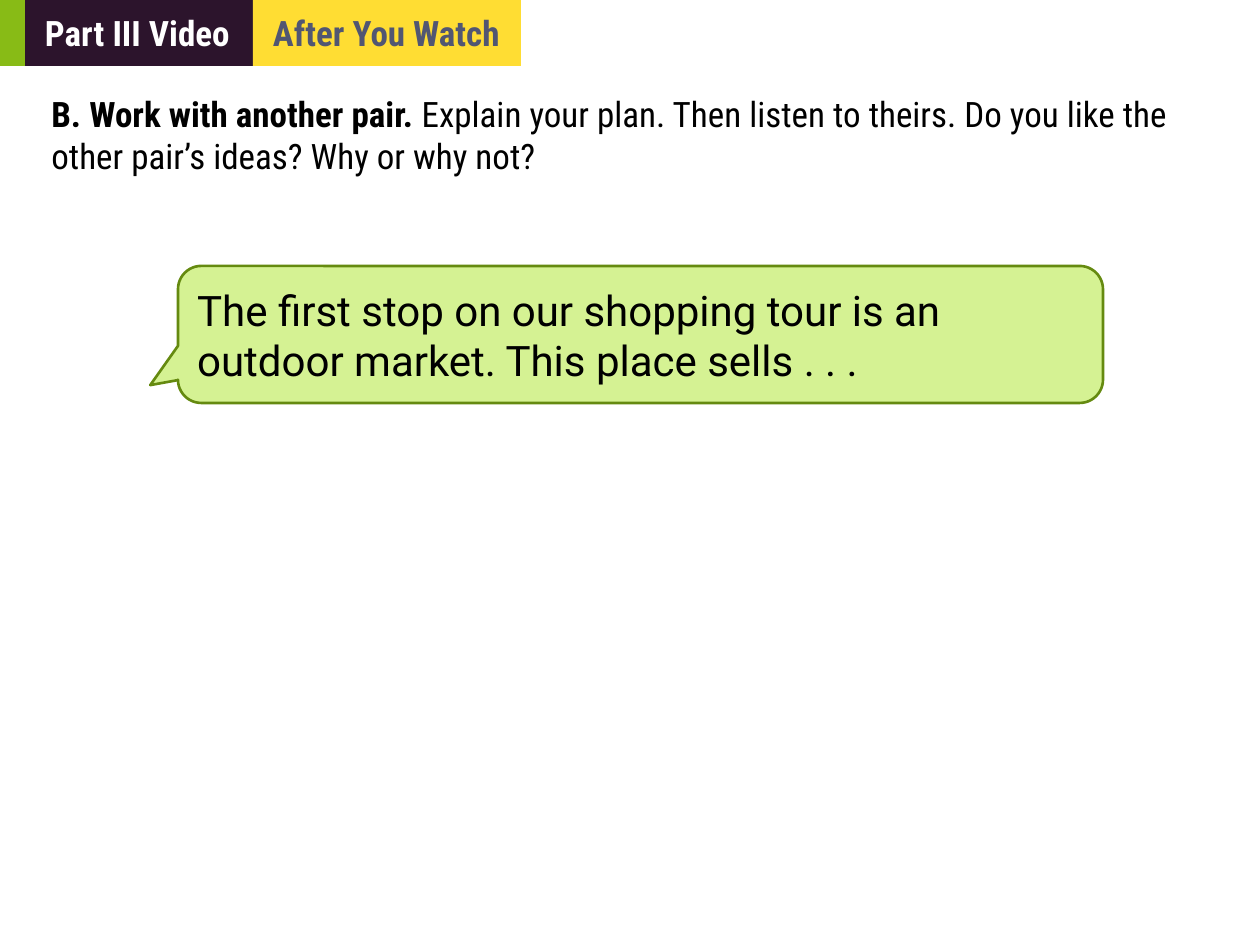
from pptx import Presentation
from pptx.dml.color import RGBColor
from pptx.enum.shapes import MSO_SHAPE
from pptx.enum.text import MSO_ANCHOR, MSO_AUTO_SIZE, PP_ALIGN
from pptx.util import Emu, Pt

RECTANGLE = MSO_SHAPE.RECTANGLE
CALLOUT = MSO_SHAPE.ROUNDED_RECTANGULAR_CALLOUT
MIDDLE = MSO_ANCHOR.MIDDLE
TOP = MSO_ANCHOR.TOP
LEFT = PP_ALIGN.LEFT
NO_AUTOFIT = MSO_AUTO_SIZE.NONE
GROW = MSO_AUTO_SIZE.SHAPE_TO_FIT_TEXT

EMU_PER_PX = 914400 / 126
TITLE_ONLY = 5
HEADER_HEIGHT = 66
STRIPE_WIDTH = 25
PART_WIDTH = 228
STAGE_WIDTH = 268
CONDENSED = "Roboto Condensed"


def px(length):
    return Emu(round(length * EMU_PER_PX))


def colour(hex_value):
    return RGBColor.from_string(hex_value)


def place(shape, left, top, width, height):
    shape.left, shape.top = px(left), px(top)
    shape.width, shape.height = px(width), px(height)


def paint(shape, fill):
    shape.fill.solid()
    shape.fill.fore_color.rgb = colour(fill)


def add_block(slide, preset, box, fill):
    block = slide.shapes.add_shape(preset, *map(px, box))
    block.shadow.inherit = False
    paint(block, fill)
    block.line.fill.background()
    return block


def write(shape, runs, size, font, text_colour, anchor=MIDDLE, fit=NO_AUTOFIT):
    frame = shape.text_frame
    frame.word_wrap = True
    frame.auto_size = fit
    frame.vertical_anchor = anchor
    paragraph = frame.paragraphs[0]
    paragraph.alignment = LEFT
    for text, bold in runs:
        run = paragraph.add_run()
        run.text = text
        run.font.name = font
        run.font.size = Pt(size)
        run.font.bold = bold
        run.font.color.rgb = colour(text_colour)


def label_tab(tab, label, text_colour):
    frame = tab.text_frame
    frame.margin_left, frame.margin_right = px(20), px(13)
    frame.margin_top = frame.margin_bottom = px(6)
    write(tab, [(label, True)], 20, CONDENSED, text_colour)


def add_header(slide):
    add_block(slide, RECTANGLE, (0, 0, STRIPE_WIDTH, HEADER_HEIGHT), "88BB16")

    part = slide.shapes.title
    place(part, STRIPE_WIDTH, 0, PART_WIDTH, HEADER_HEIGHT)
    paint(part, "2C142C")
    label_tab(part, "Part III Video", "FFFFFF")

    stage_box = (STRIPE_WIDTH + PART_WIDTH, 0, STAGE_WIDTH, HEADER_HEIGHT)
    stage = add_block(slide, RECTANGLE, stage_box, "FFDD33")
    label_tab(stage, "After You Watch", "515672")


def add_instruction(slide, box, runs):
    instruction = slide.shapes.add_textbox(*map(px, box))
    write(instruction, runs, 20, CONDENSED, "000000", TOP, GROW)


def add_speech(slide, box, words):
    speech = add_block(slide, CALLOUT, box, "D5F293")
    speech.line.color.rgb = colour("658A10")
    speech.line.width = Pt(1.5)
    for index, value in enumerate((-0.53, 0.37, 0.17)):
        speech.adjustments[index] = value
    write(speech, [(words, False)], 24, "Roboto", "000000")


def main():
    deck = Presentation()
    deck.slide_width, deck.slide_height = px(1260), px(945)
    slide = deck.slides.add_slide(deck.slide_layouts[TITLE_ONLY])
    add_header(slide)
    add_instruction(slide, (39, 86, 1172, 97), [
        ("B. Work with another pair. ", True),
        ("Explain your plan. Then listen to theirs. "
         "Do you like the other pair’s ideas? Why or why not?", False),
    ])
    add_speech(slide, (178, 266, 925, 137),
               "The first stop on our shopping tour is an outdoor market. "
               "This place sells . . .")
    deck.save("out.pptx")


if __name__ == "__main__":
    main()
